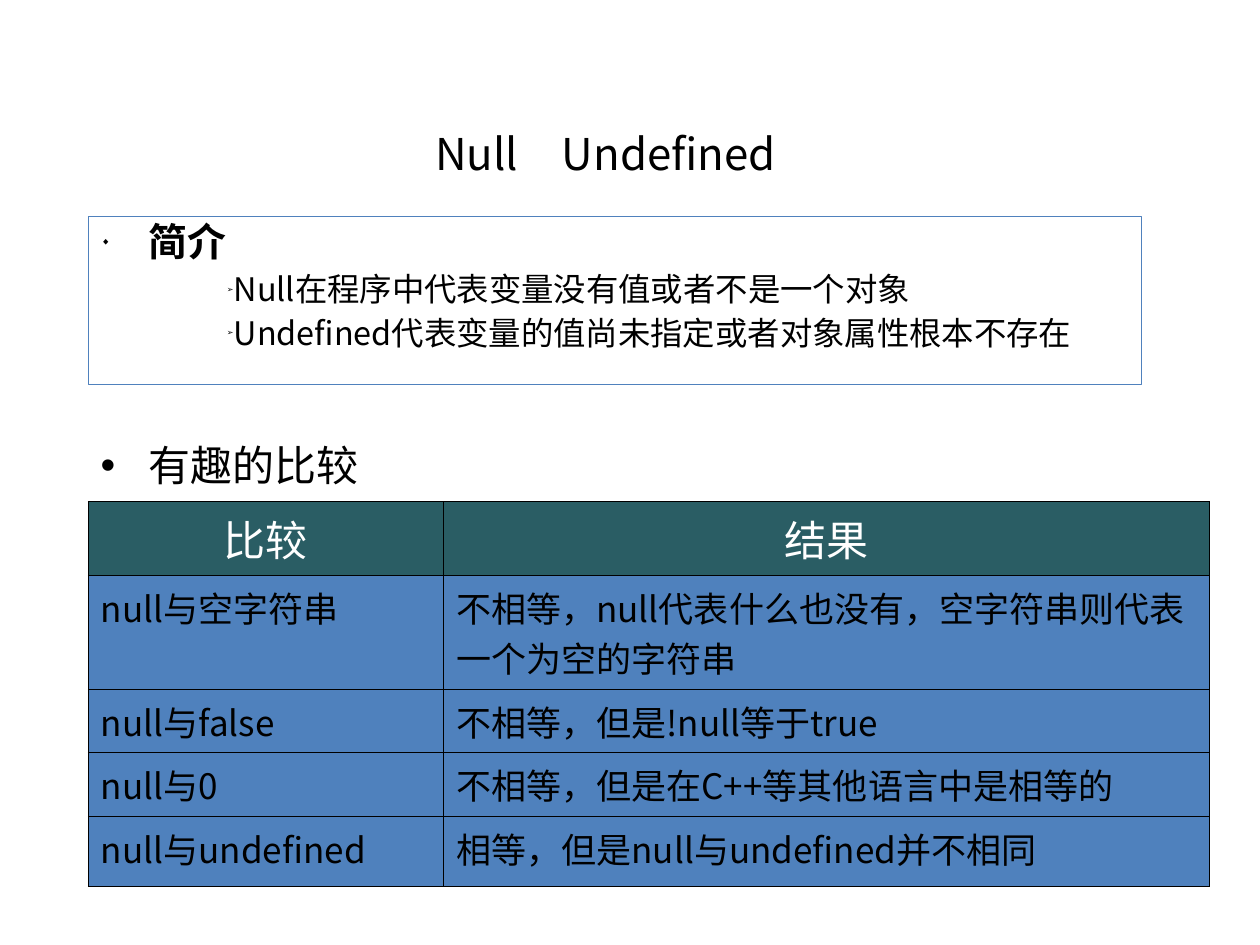
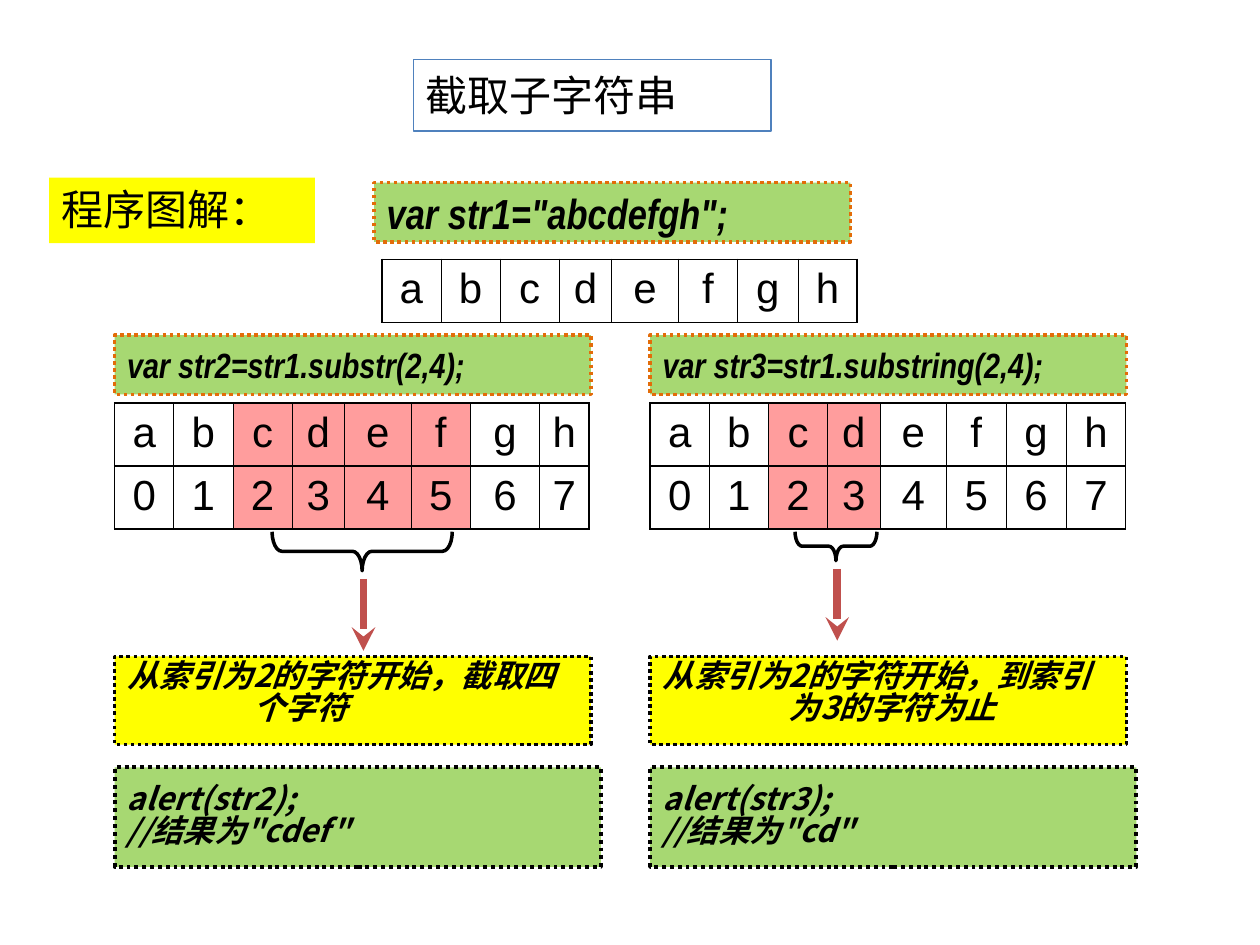
from collections import namedtuple
from dataclasses import dataclass

from lxml import etree
from pptx import Presentation
from pptx import util as u
from pptx.dml.color import RGBColor
from pptx.enum import dml, shapes, text
from pptx.oxml.ns import qn


@dataclass(frozen=True)
class Theme:
    ink: str = "000000"
    paper: str = "FFFFFF"
    frame: str = "4F81BD"
    header: str = "2A5D64"
    note: str = "FFFF00"
    code: str = "A7D872"
    code_edge: str = "E36C09"
    picked: str = "FF9D9D"
    arrow: str = "C0504D"
    cjk: str = "Noto Sans CJK SC"
    header_font: str = "Noto Sans CJK JP"
    letters: str = "Arial"
    code_font: str = "Arial Narrow"
    large: float = 24
    medium: float = 20
    small: float = 18
    thin: float = 0.45
    thick: float = 1.08


THEME = Theme()
COLUMNS, ROWS = 100, 75
UNIT = u.Inches(0.1)
LEFT, CENTER = text.PP_ALIGN.LEFT, text.PP_ALIGN.CENTER
TOP, MIDDLE = text.MSO_ANCHOR.TOP, text.MSO_ANCHOR.MIDDLE


class Box(namedtuple("Box", "col row cols rows")):
    def inner(self, col, row, cols, rows):
        return Box(self.col + col, self.row + row, cols, rows)

    def emu(self):
        return [round(UNIT * length) for length in self]


def rgb(color):
    return RGBColor.from_string(color)


def add_xml(parent, tag, **attributes):
    return etree.SubElement(parent, qn(tag), attributes)


def write(frame, *lines, size, font=THEME.cjk, color=THEME.ink, bold=False,
          italic=False, align=LEFT, anchor=None, before=0, spacing=None,
          indent=None, bullet=None, bullet_size=100, level=0, append=False):
    if anchor is not None:
        frame.word_wrap = True
        frame.auto_size = text.MSO_AUTO_SIZE.NONE
        frame.vertical_anchor = anchor
    for index, line in enumerate(lines):
        paragraph = frame.add_paragraph() if append or index else frame.paragraphs[0]
        paragraph.alignment, paragraph.level = align, level
        paragraph.space_before = u.Pt(before)
        if spacing:
            paragraph.line_spacing = spacing
        properties = paragraph._p.get_or_add_pPr()
        if indent:
            for name, length in zip(("marL", "indent"), indent):
                properties.set(name, str(round(UNIT * length)))
        if bullet:
            add_xml(add_xml(properties, "a:buClr"), "a:srgbClr", val=color)
            add_xml(properties, "a:buSzPct", val=str(bullet_size * 1000))
            add_xml(properties, "a:buFont", typeface=THEME.letters)
            add_xml(properties, "a:buChar", char=bullet)
        run = paragraph.add_run()
        run.text = line
        run.font.size, run.font.name = u.Pt(size), font
        run.font.bold, run.font.italic = bold, italic
        run.font.color.rgb = rgb(color)
        add_xml(run._r.get_or_add_rPr(), "a:ea", typeface=font)


def paint(shape, fill=None, line=None, width=0.75, dotted=False):
    shape.shadow.inherit = False
    if fill:
        shape.fill.solid()
        shape.fill.fore_color.rgb = rgb(fill)
    else:
        shape.fill.background()
    if line:
        shape.line.color.rgb = rgb(line)
        shape.line.width = u.Pt(width)
        if dotted:
            shape.line.dash_style = dml.MSO_LINE.ROUND_DOT
    else:
        shape.line.fill.background()


def place(shape, box):
    shape.left, shape.top, shape.width, shape.height = box.emu()
    return shape


def panel(slide, box, *lines, fill, line=None, width=2, anchor=MIDDLE, **fmt):
    shape = slide.shapes.add_shape(shapes.MSO_SHAPE.RECTANGLE, *box.emu())
    paint(shape, fill, line, width, dotted=True)
    write(shape.text_frame, *lines, anchor=anchor, **fmt)


def code_panel(slide, box, code, size):
    panel(slide, box, code, fill=THEME.code, line=THEME.code_edge, size=size,
          font=THEME.code_font, bold=True, italic=True)


def title(slide, box, words, size, align):
    heading = place(slide.shapes.title, box)
    write(heading.text_frame, words, size=size, align=align, anchor=MIDDLE)
    return heading


def cell_borders(cell, left, right, top, bottom):
    properties = cell._tc.get_or_add_tcPr()
    widths = {"a:lnL": left, "a:lnR": right, "a:lnT": top, "a:lnB": bottom}
    for index, (tag, width) in enumerate(widths.items()):
        border = add_xml(properties, tag, w=str(u.Pt(width)))
        add_xml(add_xml(border, "a:solidFill"), "a:srgbClr", val=THEME.ink)
        properties.insert(index, border)


def grid_table(slide, box, widths, heights, rows, edge, cell_format):
    table = slide.shapes.add_table(len(rows), len(widths), *box.emu()).table
    table.first_row = table.horz_banding = False
    for column, width in zip(table.columns, widths):
        column.width = round(UNIT * width)
    for row, height in zip(table.rows, heights):
        row.height = round(UNIT * height)
    last = len(widths) - 1
    for r, words in enumerate(rows):
        for c, word in enumerate(words):
            cell = table.cell(r, c)
            fill, fmt = cell_format(r, c)
            if fill:
                cell.fill.solid()
                cell.fill.fore_color.rgb = rgb(fill)
            else:
                cell.fill.background()
            write(cell.text_frame, word, **fmt)
            cell_borders(cell, THEME.thin if c else edge,
                         THEME.thin if c < last else edge, edge, edge)


def introduction(slide, box):
    body = place(slide.placeholders[1], box)
    paint(body, THEME.paper, THEME.frame)
    shared = dict(spacing=0.9, bullet_size=25)
    write(body.text_frame, "简介", size=22.2, bold=True, before=6, anchor=TOP,
          indent=(3.8, -3.8), bullet="◆", **shared)
    write(body.text_frame, "Null在程序中代表变量没有值或者不是一个对象",
          "Undefined代表变量的值尚未指定或者对象属性根本不存在", size=18.5,
          before=5, level=1, indent=(5, 5), bullet="➢", append=True, **shared)


def comparison(slide, box):
    caption = slide.shapes.add_textbox(*box.inner(0, 0, 27.7, 4.1).emu())
    write(caption.text_frame, "有趣的比较", size=THEME.large, anchor=TOP,
          before=6, indent=(3.8, -3.8), bullet="•")

    def cell_format(row, column):
        if row == 0:
            return THEME.header, dict(size=THEME.large, font=THEME.header_font,
                                      color=THEME.paper, align=CENTER, before=6)
        return THEME.frame, dict(size=THEME.medium, before=5)

    results = [
        ("比较", "结果"),
        ("null与空字符串", "不相等，null代表什么也没有，空字符串则代表一个为空的字符串"),
        ("null与false", "不相等，但是!null等于true"),
        ("null与0", "不相等，但是在C++等其他语言中是相等的"),
        ("null与undefined", "相等，但是null与undefined并不相同"),
    ]
    grid_table(slide, box.inner(0, 5.4, 89, 27), (28.2, 60.8),
               (5, 7.7, 4.3, 4.3, 5.6), results, THEME.thin, cell_format)


def letter_table(slide, box, last_widths, picked=(), indexed=True):
    rows = ["abcdefgh", "01234567"][:2 if indexed else 1]
    letter = dict(size=THEME.large, font=THEME.letters, align=CENTER, before=6)
    grid_table(slide, box, (4.7, 4.7, 4.7, 4.15, 5.3, 4.7) + last_widths,
               [5] * len(rows), rows, THEME.thick,
               lambda row, column: (THEME.picked if column in picked else None, letter))


def brace_and_arrow(slide, box):
    middle = box.col + box.cols / 2
    upright = Box(middle - box.rows / 2, box.row + box.rows / 2 - box.cols / 2,
                  box.rows, box.cols)
    brace = slide.shapes.add_shape(shapes.MSO_SHAPE.LEFT_BRACE, *upright.emu())
    brace.rotation = 270
    brace.adjustments[0] = 0.25
    paint(brace, line=THEME.ink, width=2)

    start = box.row + box.rows + 0.65
    ends = Box(middle + 0.1, start, middle + 0.1, start + 5.7)
    arrow = slide.shapes.add_connector(shapes.MSO_CONNECTOR.STRAIGHT, *ends.emu())
    arrow.line.color.rgb = rgb(THEME.arrow)
    arrow.line.width = u.Pt(4.5)
    add_xml(arrow.line._get_or_add_ln(), "a:tailEnd", type="stealth")
    add_xml(arrow._element.spPr, "a:effectLst")


def extraction(slide, box, call, last_widths, picked, brace, note, output):
    code_panel(slide, box.inner(0, 0, 37.8, 4.7), call, THEME.medium)
    letter_table(slide, box.inner(0, 5.4, 37.8, 10), last_widths, picked)
    brace_and_arrow(slide, box.inner(*brace))
    words = dict(size=THEME.small, bold=True, italic=True, spacing=0.83,
                 line=THEME.ink, indent=(10, -10))
    panel(slide, box.inner(0, 25.5, 37.8, 7), note, fill=THEME.note,
          anchor=TOP, before=11.2, **words)
    panel(slide, box.inner(0, 34.3, 38.6, 7.9), *output, fill=THEME.code,
          width=2.25, **words)


def null_slide(deck):
    slide = deck.slides.add_slide(deck.slide_layouts[1])
    title(slide, Box(21.9, 10.2, 52.3, 3.9), "Null　Undefined", 25, CENTER)
    introduction(slide, Box(7, 17.2, 83.6, 13.3))
    comparison(slide, Box(7, 34.4, 89, 32.4))


def substring_slide(deck):
    slide = deck.slides.add_slide(deck.slide_layouts[5])
    heading = title(slide, Box(32.8, 4.7, 28.4, 5.7), "截取子字符串", THEME.large, LEFT)
    paint(heading, THEME.paper, THEME.frame)
    panel(slide, Box(3.9, 14.1, 21.1, 5.2), "程序图解：", fill=THEME.note,
          size=THEME.large, anchor=TOP, before=6)
    code_panel(slide, Box(29.7, 14.5, 37.8, 4.7), 'var str1="abcdefgh";', THEME.large)
    even, uneven = (4.8, 4.7), (5.5, 3.9)
    letter_table(slide, Box(30.3, 20.6, 37.8, 5), even, indexed=False)
    extraction(slide, Box(9.1, 26.6, 38.6, 42.2), "var str2=str1.substr(2,4);",
               uneven, range(2, 6), (12.5, 15.6, 14.3, 3.1),
               "从索引为2的字符开始，截取四个字符",
               ("alert(str2);", '//结果为"cdef"'))
    extraction(slide, Box(51.6, 26.6, 38.6, 42.2), "var str3=str1.substring(2,4);",
               even, range(2, 4), (11.5, 15.6, 6.5, 2.3),
               "从索引为2的字符开始，到索引为3的字符为止",
               ("alert(str3);", '//结果为"cd"'))


def main():
    deck = Presentation()
    deck.slide_width, deck.slide_height = UNIT * COLUMNS, UNIT * ROWS
    null_slide(deck)
    substring_slide(deck)
    deck.save("out.pptx")


if __name__ == "__main__":
    main()
